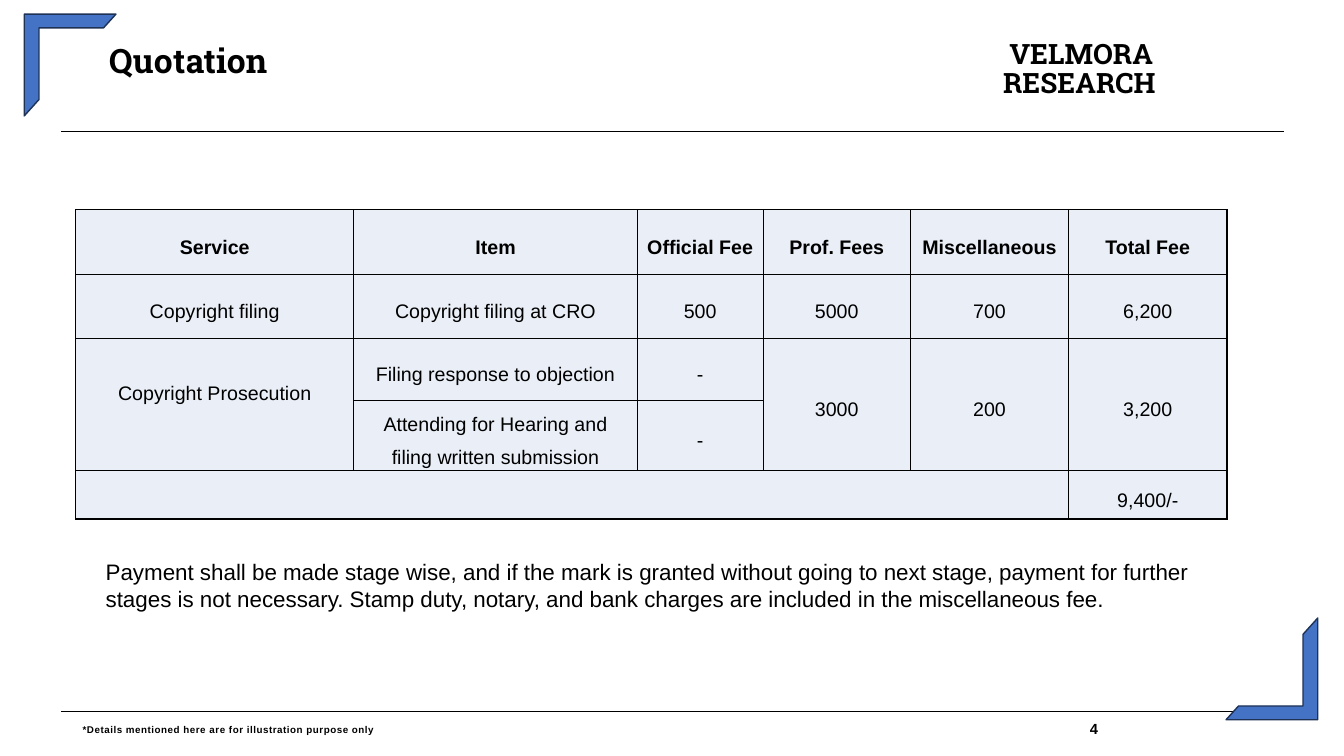
"""Build the quotation slide with its fee table."""
from lxml.etree import SubElement
from pptx import Presentation
from pptx.dml.color import RGBColor
from pptx.enum.shapes import MSO_CONNECTOR, MSO_SHAPE
from pptx.enum.text import MSO_ANCHOR, MSO_AUTO_SIZE, PP_ALIGN
from pptx.oxml import parse_xml
from pptx.oxml.ns import nsdecls, qn
from pptx.util import Emu, Pt

BLACK, BLUE, NAVY, PALE = "000000", "4472C4", "1E3256", "EAEFF7"
SLAB, SANS = "Roboto Slab", "Arial"
rgb = RGBColor.from_string


def px(*values):
    return [Emu(v * 9144) for v in values]


def write(tf, text, size=14, font=SANS, bold=False, align=PP_ALIGN.LEFT,
          spacing=1.0, track=0, left=0, indent=0, inset=0,
          anchor=MSO_ANCHOR.TOP):
    tf.word_wrap = True
    tf.auto_size = MSO_AUTO_SIZE.NONE
    tf.vertical_anchor = anchor
    tf.margin_left = tf.margin_right = Emu(inset * 9144)
    tf.margin_top = tf.margin_bottom = Emu(inset * 4572)
    p = tf.paragraphs[0]
    p.text = text
    p.alignment, p.line_spacing = align, spacing
    p.space_before = Pt(0)
    pPr = p._p.get_or_add_pPr()
    pPr.set("marL", str(left * 9144))
    pPr.set("indent", str(indent * 9144))
    for r in p.runs:
        r.font.size, r.font.name, r.font.bold = Pt(size), font, bold
        r.font.color.rgb = rgb(BLACK)
        r._r.get_or_add_rPr().set("spc", str(track))


prs = Presentation()
prs.slide_width, prs.slide_height = px(1333, 750)
s = prs.slides.add_slide(prs.slide_layouts[5])

for y, weight in ((706, 0.48), (130, 0.5)):
    rule = s.shapes.add_connector(MSO_CONNECTOR.STRAIGHT, *px(61, y, 1273, y))
    rule.line.color.rgb, rule.line.width = rgb(BLACK), Pt(weight)
    SubElement(rule._element.spPr, qn("a:effectLst"))

title = s.shapes.title
title.left, title.top, title.width, title.height = px(69, 48, 1105, 60)
write(title.text_frame, "Quotation", size=24, font=SLAB, bold=True,
      spacing=0.79, track=10, left=39)

for x, y, turn in ((24, 14, 0), (1216, 613, 180)):
    corner = s.shapes.add_shape(MSO_SHAPE.HALF_FRAME, *px(x, y, 91, 101))
    corner.adjustments[0], corner.adjustments[1] = 0.15, 0.161
    corner.rotation = turn
    corner.shadow.inherit = False
    corner.fill.solid()
    corner.fill.fore_color.rgb = rgb(BLUE)
    corner.line.color.rgb, corner.line.width = rgb(NAVY), Pt(1)

payment = ("Payment shall be made stage wise, and if the mark is granted "
           "without going to next stage, payment for further stages is not "
           "necessary. Stamp duty, notary, and bank charges are included in "
           "the miscellaneous fee.")
texts = [
    ((994, 41, 189, 61), "VELMORA\vRESEARCH",
     dict(size=20, font=SLAB, bold=True, spacing=0.87, left=1, indent=6)),
    ((82, 718, 600, 15),
     "*Details mentioned here are for illustration purpose only",
     dict(size=7, bold=True, track=40)),
    ((1081, 714, 40, 20), "4", dict(size=10.5, bold=True)),
    ((95, 549, 1163, 64), payment, dict(size=16, inset=10)),
]
for at, text, style in texts:
    write(s.shapes.add_textbox(*px(*at)).text_frame, text, **style)

rows = [
    ["Service", "Item", "Official Fee", "Prof. Fees", "Miscellaneous",
     "Total Fee"],
    ["Copyright filing", "Copyright filing at CRO", "500", "5000", "700",
     "6,200"],
    ["Copyright Prosecution", "Filing response to objection", "-", "3000",
     "200", "3,200"],
    ["", "Attending for Hearing and filing written submission", "-", "", "",
     ""],
    ["", "", "", "", "", "9,400/-"],
]
widths = [276, 281, 125, 146, 157, 157]
heights = [64, 64, 61, 70, 48]
table = s.shapes.add_table(len(rows), len(widths), *px(
    75, 208, sum(widths), sum(heights))).table
for column, width in zip(table.columns, px(*widths)):
    column.width = width
for row, height in zip(table.rows, px(*heights)):
    row.height = height

for i, row in enumerate(rows):
    for j, text in enumerate(row):
        cell = table.cell(i, j)
        tcPr = cell._tc.get_or_add_tcPr()
        for side in "LRTB":
            tcPr.append(parse_xml(
                f'<a:ln{side} {nsdecls("a")} w="12700"><a:solidFill>'
                f'<a:srgbClr val="{BLACK}"/></a:solidFill></a:ln{side}>'))
        cell.fill.solid()
        cell.fill.fore_color.rgb = rgb(PALE)
        cell.vertical_anchor = MSO_ANCHOR.MIDDLE
        cell.margin_left, cell.margin_right = px(7, 7)
        cell.margin_top = cell.margin_bottom = 0
        if text:
            p = cell.text_frame.paragraphs[0]
            p.text = text
            p.alignment, p.line_spacing = PP_ALIGN.CENTER, 1.5
            font = p.runs[0].font
            font.size, font.name, font.bold = Pt(14), SANS, i == 0
            font.color.rgb = rgb(BLACK)

table.cell(2, 0).margin_bottom = px(33)[0]
for j in (0, 3, 4, 5):
    table.cell(2, j).merge(table.cell(3, j))
table.cell(4, 0).merge(table.cell(4, 4))

prs.save("out.pptx")
